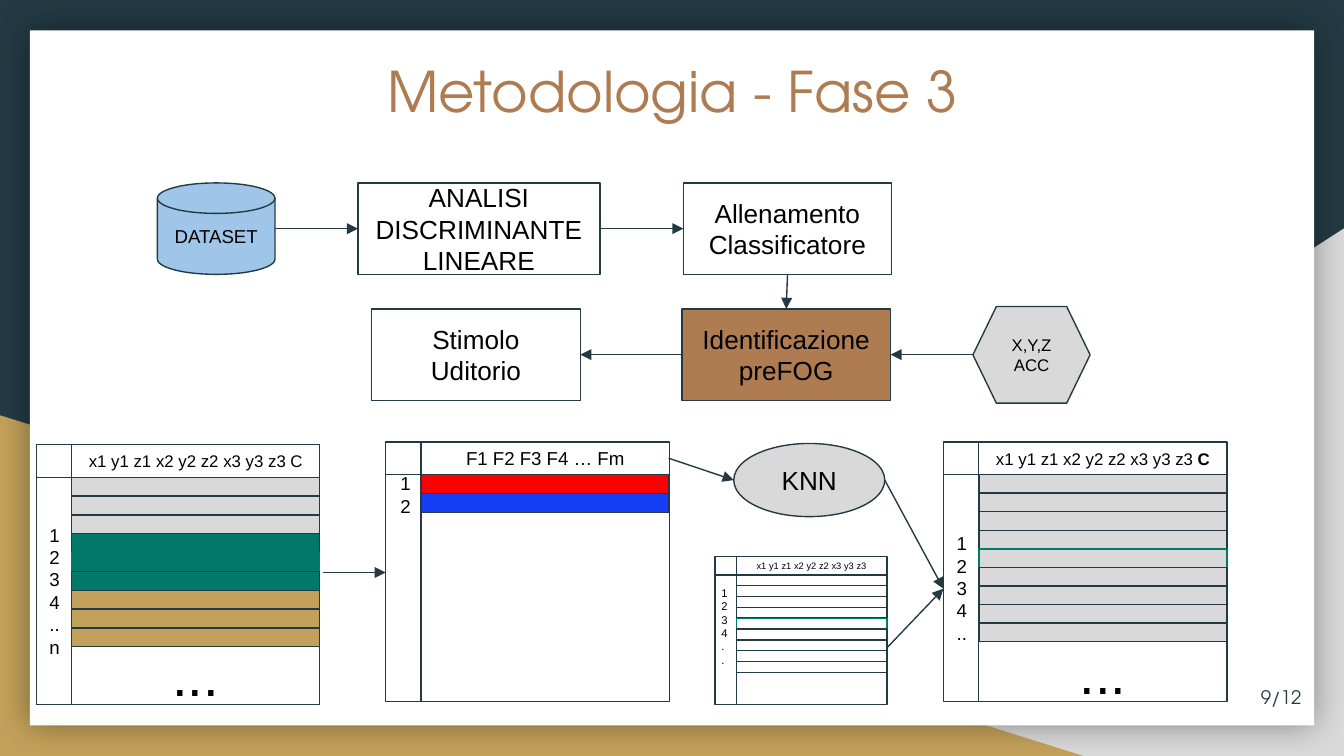
from lxml.etree import SubElement
from pptx import Presentation
from pptx.dml.color import RGBColor
from pptx.enum.shapes import MSO_CONNECTOR, MSO_SHAPE as S
from pptx.enum.text import MSO_ANCHOR, PP_ALIGN
from pptx.oxml import parse_xml
from pptx.oxml.ns import nsdecls, qn
from pptx.util import Pt

HUE = {"dark": "233A44", "grey": "D9D9D9", "gold": "C4A15A", "white": "FFFFFF",
       "brown": "AF7B51", "black": "000000", "sky": "9FC5E8", "teal": "00796B",
       "red": "FF0000", "blue": "163EF5"}
HEAD = "TeX Gyre Adventor"
MID, LEFT, RIGHT = PP_ALIGN.CENTER, PP_ALIGN.LEFT, PP_ALIGN.RIGHT


def rgb(name):
    return RGBColor.from_string(HUE[name])


def box(kind, at, lines=(), size=14, fill=None, line=None, align=MID,
        font="Arial", color="black", anchor=MSO_ANCHOR.MIDDLE):
    """Add a shape, or a text box if kind is None; a second run in a line is bold."""
    at = [Pt(v) for v in at]
    if kind is None:
        item = slide.shapes.add_textbox(*at)
    else:
        item = slide.shapes.add_shape(kind, *at)
        item.shadow.inherit = False
        if fill:
            item.fill.solid()
            item.fill.fore_color.rgb = rgb(fill)
        else:
            item.fill.background()
        if line:
            item.line.color.rgb = rgb(line)
            item.line.width = Pt(0.75)
        else:
            item.line.fill.background()
    frame = item.text_frame
    frame.word_wrap = True
    frame.vertical_anchor = anchor
    frame.margin_left = frame.margin_right = Pt(7.2)
    frame.margin_top = frame.margin_bottom = Pt(7.2)
    for i, runs in enumerate(lines):
        para = frame.paragraphs[0] if i == 0 else frame.add_paragraph()
        para.alignment = align
        for j, text in enumerate([runs] if isinstance(runs, str) else runs):
            run = para.add_run()
            run.text = text
            run.font.size = Pt(size)
            run.font.name = font
            run.font.bold = j > 0
            run.font.color.rgb = rgb(color)
    return item


deck = Presentation()
deck.slide_width, deck.slide_height = Pt(720), Pt(405)
slide = deck.slides.add_slide(deck.slide_layouts[6])
slide.background.fill.solid()
slide.background.fill.fore_color.rgb = rgb("dark")

# Backdrop and white panel
wedge = box(S.RIGHT_TRIANGLE, (282.2, 122.4, 437.8, 282.6), fill="grey")
wedge._element.spPr.find(qn("a:xfrm")).set("flipH", "1")
box(S.RIGHT_TRIANGLE, (0, 222.5, 580.3, 182.5), fill="gold")
panel = box(S.RECTANGLE, (16, 16.3, 688, 372.4), fill="white")
glow = panel._element.spPr.find(qn("a:effectLst"))
glow.append(parse_xml(
    f'<a:outerShdw {nsdecls("a")} blurRad="{Pt(18)}" dist="0" dir="0" '
    'algn="ctr" rotWithShape="0"><a:srgbClr val="000000">'
    '<a:alpha val="40000"/></a:srgbClr></a:outerShdw>'))

box(None, (64.8, 23, 591, 75), ["Metodologia - Fase 3"], 30, font=HEAD,
    color="brown", anchor=MSO_ANCHOR.TOP)
box(None, (661, 357.8, 43.2, 31), ["9/12"], 10, align=RIGHT, font=HEAD, color="dark")

# Flow of the phase
PROC = S.FLOWCHART_PROCESS
for kind, x, y, w, h, lines, size, fill in [
    (S.FLOWCHART_MAGNETIC_DISK, 84.3, 98, 63, 49, ["DATASET"], 10, "sky"),
    (PROC, 191.8, 98, 129.6, 49, ["ANALISI DISCRIMINANTE LINEARE"], 14, None),
    (PROC, 366.1, 98, 111.5, 49, ["Allenamento Classificatore"], 14, None),
    (PROC, 199.1, 165.5, 111.8, 49, ["Stimolo Uditorio"], 14, None),
    (PROC, 365.3, 165.5, 111.8, 49, ["Identificazione preFOG"], 14, "brown"),
    (S.FLOWCHART_PREPARATION, 521.2, 164.2, 62.8, 51.8, ["X,Y,Z", "ACC"], 9, "grey"),
    (S.OVAL, 393.1, 237.6, 80.9, 39.2, ["KNN"], 14, "grey"),
]:
    box(kind, (x, y, w, h), lines, size, fill, "dark")

# Data tables: frame, header, header size, row fills, row pitch
# and row labels with their size, offset, width, height and alignment
axes = "x1 y1 z1 x2 y2 z2 x3 y3 z3"
nums = ["1", "2", "3", "4"]
for x, y, w, h, head, size, fills, step, marks, small, dx, wide, tall, align in [
    (19.4, 238.3, 151.9, 139, axes + " C", 9,
     ["grey"] * 3 + ["teal"] * 3 + ["gold"] * 3, 10.1,
     nums + ["..n"], 10, 0, 25.2, 121.6, LEFT),
    (206.6, 236.9, 151.9, 139, "F1 F2 F3 F4 … Fm", 10, ["red", "blue"], 10.1,
     nums[:2], 10, 0.8, 18, 21.6, LEFT),
    (383, 298.1, 92.2, 79.2, axes, 5, ["white"] * 9, 5.8,
     nums + [".."], 6, -3.6, 15.1, 69.3, MID),
    (505.4, 236.9, 151.9, 139, (axes + " ", "C"), 9, ["grey"] * 9, 9.95,
     nums + [".."], 10, 0, 25.2, 121.6, LEFT),
]:
    left, top, span = x + w / 8, y + h / 8, w * 7 / 8
    box(S.FLOWCHART_INTERNAL_STORAGE, (x, y, w, h), fill="white", line="dark")
    box(None, (left, y, span, h / 8), [head], size)
    tiny = small == 6
    box(None, (x + dx, top - 1.3 * tiny, wide, tall), marks, small, align=align,
        anchor=MSO_ANCHOR.TOP if tiny else MSO_ANCHOR.MIDDLE)
    for i, fill in enumerate(fills):
        box(S.RECTANGLE, (left, top + i * step, span, step), fill=fill,
            line="teal" if i == 4 else "dark")
    if len(fills) == 9 and not tiny:
        box(None, (left, y + 112.3, span, 21.6), ["..."], 30)

# Arrows
for ends in [
    (147.2, 122.5, 191.8, 122.5), (321.3, 122.5, 366.1, 122.5),
    (521.2, 190, 477.1, 190), (365.3, 190, 310.9, 190),
    (421.9, 147, 421.2, 165.5), (172.8, 306.7, 206.6, 306.7),
    (358.2, 245.5, 393.1, 257.2), (475.2, 347, 505.4, 315.4),
    (474, 257.2, 505.4, 315.4),
]:
    arrow = slide.shapes.add_connector(MSO_CONNECTOR.STRAIGHT, *[Pt(v) for v in ends])
    arrow.line.color.rgb = rgb("dark")
    arrow.line.width = Pt(0.75)
    SubElement(arrow.line._get_or_add_ln(), qn("a:tailEnd")).set("type", "triangle")
    SubElement(arrow._element.spPr, qn("a:effectLst"))

deck.save("out.pptx")
